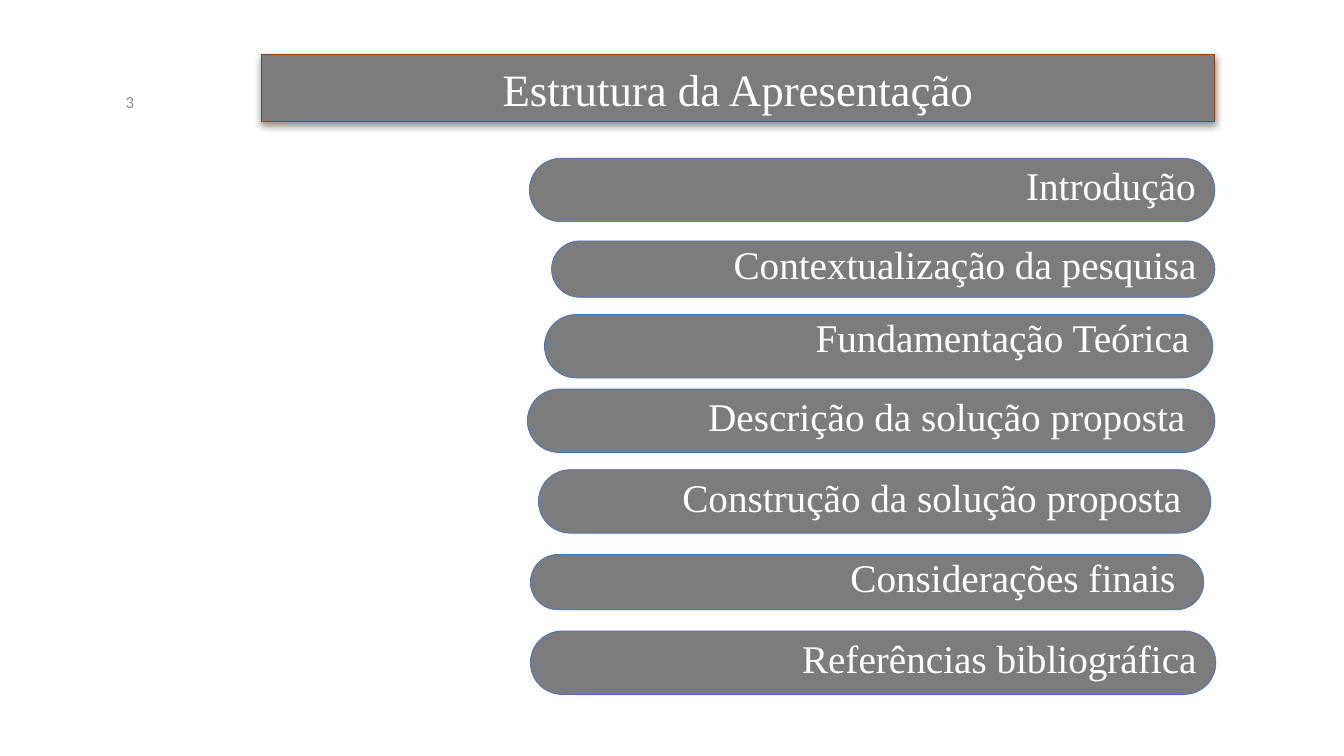
from dataclasses import dataclass

from pptx import Presentation
from pptx.dml.color import RGBColor
from pptx.enum.shapes import MSO_SHAPE as Shape
from pptx.enum.text import MSO_ANCHOR as Anchor, MSO_AUTO_SIZE as AutoSize, PP_ALIGN as Align
from pptx.oxml import parse_xml
from pptx.oxml.ns import nsdecls
from pptx.util import Inches, Pt


@dataclass(frozen=True)
class Theme:
    bar: str = "7C7C7C"
    bar_edge: str = "4472C4"
    title_edge: str = "964305"
    light: str = "FFFFFF"
    muted: str = "8C8C8C"
    serif: str = "Times New Roman"
    sans: str = "Calibri"
    title_size: int = 32
    topic_size: int = 28
    number_size: int = 12


def rgb(code):
    return RGBColor.from_string(code)


def write_text(frame, text, *, font, size, color, align,
               insets=(0.1, 0.05, 0.1, 0.05), wrap=True):
    frame.word_wrap = wrap
    frame.auto_size = AutoSize.NONE
    frame.vertical_anchor = Anchor.MIDDLE
    frame.margin_left, frame.margin_top, frame.margin_right, frame.margin_bottom = map(Inches, insets)
    paragraph = frame.paragraphs[0]
    paragraph.alignment = align
    run = paragraph.add_run()
    run.text = text
    run.font.name = font
    run.font.size = Pt(size)
    run.font.color.rgb = rgb(color)
    return paragraph


class StructureSlide:
    def __init__(self, deck, theme):
        self.theme = theme
        self.slide = deck.slides.add_slide(deck.slide_layouts[5])

    def paint(self, shape, edge, width):
        shape.fill.solid()
        shape.fill.fore_color.rgb = rgb(self.theme.bar)
        shape.line.color.rgb = rgb(edge)
        shape.line.width = Pt(width)

    def title(self, text, left, top, width, height):
        theme = self.theme
        heading = self.slide.shapes.title
        heading.left, heading.top, heading.width, heading.height = map(Inches, (left, top, width, height))
        properties = heading.element.spPr
        properties.append(parse_xml(
            f'<a:prstGeom {nsdecls("a")} prst="roundRect"><a:avLst>'
            '<a:gd name="adj" fmla="val 16667"/></a:avLst></a:prstGeom>'))
        self.paint(heading, theme.title_edge, 0.75)
        properties.append(parse_xml(
            f'<a:effectLst {nsdecls("a")}><a:outerShdw blurRad="{Pt(5)}" dist="{Pt(2)}" '
            'dir="5400000" rotWithShape="0"><a:srgbClr val="000000">'
            '<a:alpha val="43000"/></a:srgbClr></a:outerShdw></a:effectLst>'))
        write_text(heading.text_frame, text, font=theme.serif, size=theme.title_size,
                   color=theme.light, align=Align.CENTER, wrap=False)

    def page_number(self, text, left, top, width, height):
        theme = self.theme
        number = self.slide.shapes.add_textbox(*map(Inches, (left, top, width, height)))
        write_text(number.text_frame, text, font=theme.sans, size=theme.number_size,
                   color=theme.muted, align=Align.RIGHT)

    def topic(self, text, left, top, width, height, right_inset=0.1, bottom_inset=0.05):
        theme = self.theme
        bar = self.slide.shapes.add_shape(
            Shape.ROUNDED_RECTANGLE, *map(Inches, (left, top, width, height)))
        bar.adjustments[0] = 0.5
        bar.shadow.inherit = False
        self.paint(bar, theme.bar_edge, 0.5)
        paragraph = write_text(bar.text_frame, text, font=theme.serif, size=theme.topic_size,
                               color=theme.light, align=Align.RIGHT,
                               insets=(0.06, 0.04, right_inset, bottom_inset))
        paragraph.line_spacing = 0.8
        # Space before as a share of the line height
        paragraph._p.get_or_add_pPr().append(parse_xml(
            f'<a:spcBef {nsdecls("a")}><a:spcPct val="50000"/></a:spcBef>'))


TOPICS = [
    ("Introdução", 5.25, 1.57, 6.8, 0.63),
    ("Contextualização da pesquisa", 5.47, 2.39, 6.58, 0.56),
    ("Fundamentação Teórica", 5.4, 3.12, 6.63, 0.63, 0.14, 0.13),
    ("Descrição da solução proposta", 5.23, 3.86, 6.82, 0.63, 0.2),
    ("Construção da solução proposta", 5.34, 4.66, 6.67, 0.63, 0.2),
    ("Considerações finais", 5.26, 5.5, 6.68, 0.55, 0.2),
    ("Referências bibliográfica", 5.26, 6.26, 6.8, 0.63),
]


def main():
    deck = Presentation()
    deck.slide_width, deck.slide_height = Inches(13.33), Inches(7.5)
    page = StructureSlide(deck, Theme())
    page.title("Estrutura da Apresentação", 2.59, 0.54, 9.46, 0.67)
    page.page_number("3", 0.58, 0.81, 0.85, 0.4)
    for topic in TOPICS:
        page.topic(*topic)
    deck.save("out.pptx")


if __name__ == "__main__":
    main()
